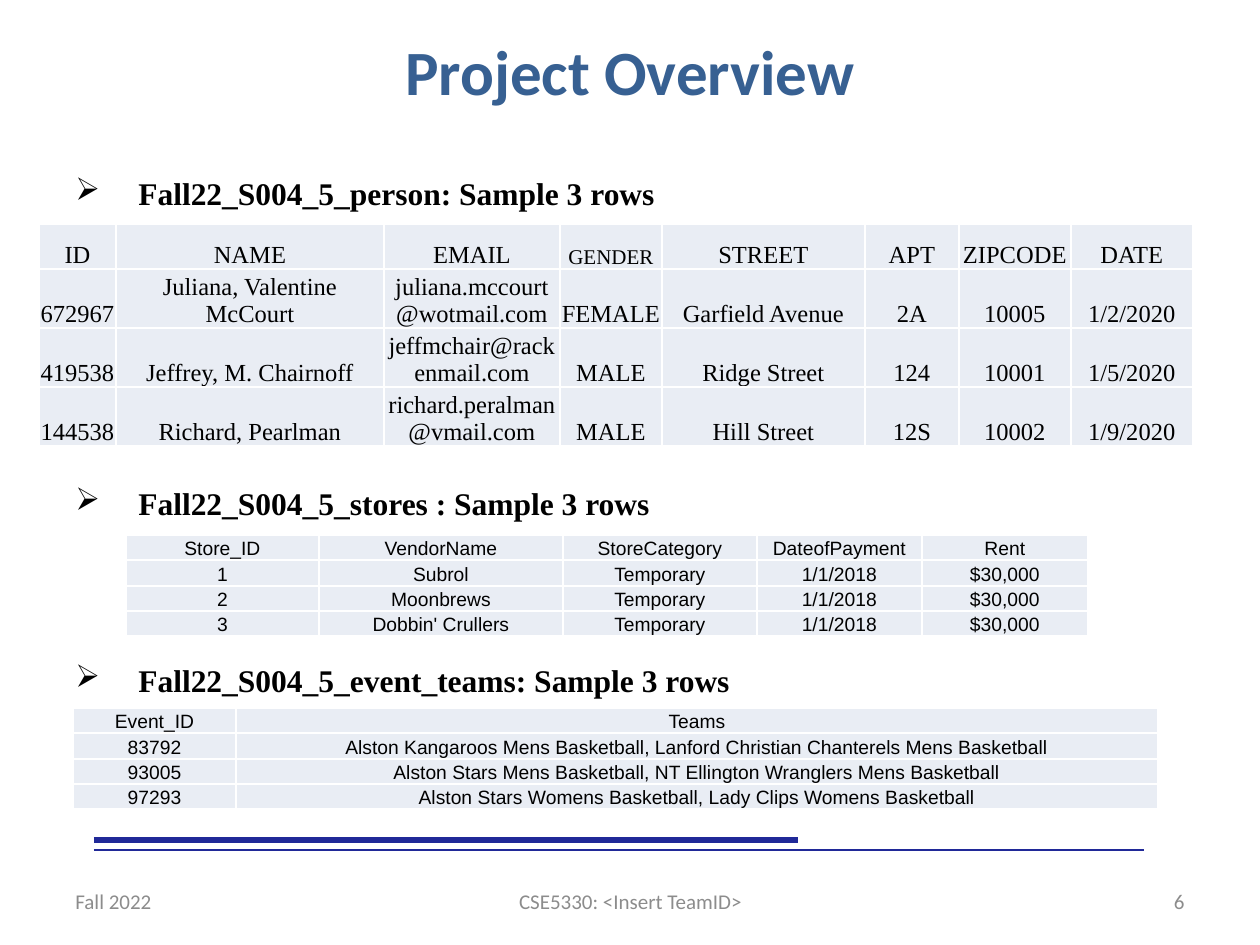
import pptx
import pptx.dml.color
import pptx.enum.shapes
import pptx.enum.text
import pptx.oxml
import pptx.oxml.ns
import pptx.util
from lxml import etree

SCALE = 914400 / 126
COLORS = {
    "title": "376092", "text": "000000", "footer": "8C8C8C",
    "rule": "202998", "cell": "E9EDF4", "border": "FFFFFF",
}
ALIGN = pptx.enum.text.PP_ALIGN
ANCHOR = pptx.enum.text.MSO_ANCHOR

PERSON_ROWS = [
    ["ID", "NAME", "EMAIL", "GENDER", "STREET", "APT", "ZIPCODE", "DATE"],
    ["672967", "Juliana, Valentine McCourt", "juliana.mccourt@wotmail.com", "FEMALE",
     "Garfield Avenue", "2A", "10005", "1/2/2020"],
    ["419538", "Jeffrey, M. Chairnoff", "jeffmchair@rackenmail.com", "MALE",
     "Ridge Street", "124", "10001", "1/5/2020"],
    ["144538", "Richard, Pearlman", "richard.peralman@vmail.com", "MALE",
     "Hill Street", "12S", "10002", "1/9/2020"],
]
STORE_ROWS = [["Store_ID", "VendorName", "StoreCategory", "DateofPayment", "Rent"]] + [
    [str(number), vendor, "Temporary", "1/1/2018", "$30,000"]
    for number, vendor in enumerate(["Subrol", "Moonbrews", "Dobbin' Crullers"], start=1)
]
EVENT_ROWS = [
    ["Event_ID", "Teams"],
    ["83792", "Alston Kangaroos Mens Basketball, Lanford Christian Chanterels Mens Basketball"],
    ["93005", "Alston Stars Mens Basketball, NT Ellington Wranglers Mens Basketball"],
    ["97293", "Alston Stars Womens Basketball, Lady Clips Womens Basketball"],
]
HEADINGS = [
    ("Fall22_S004_5_person: Sample 3 rows", 4),
    ("Fall22_S004_5_stores : Sample 3 rows", 155.3),
    ("Fall22_S004_5_event_teams: Sample 3 rows", 79.9),
]


def px(length):
    return pptx.util.Emu(round(length * SCALE))


def rgb(name):
    return pptx.dml.color.RGBColor.from_string(COLORS[name])


def write_text(paragraph, text, *, font, size, color="text", bold=False, align=ALIGN.LEFT):
    run = paragraph.add_run()
    run.text = text
    run.font.name = font
    run.font.size = pptx.util.Pt(size)
    run.font.bold = bold
    run.font.color.rgb = rgb(color)
    paragraph.alignment = align


class SlideBuilder:
    """Hold the style and the current slide, and add each kind of element."""

    heading_font = "Calibri"
    body_font = "Times New Roman"
    data_font = "Arial"

    def __init__(self, slide):
        self.slide = slide

    def rule(self, left, right, y, width):
        line = self.slide.shapes.add_connector(
            pptx.enum.shapes.MSO_CONNECTOR.STRAIGHT, px(left), px(y), px(right), px(y))
        line.line.color.rgb = rgb("rule")
        line.line.width = pptx.util.Pt(width)
        etree.SubElement(line._element.spPr, pptx.oxml.ns.qn("a:effectLst"))

    def text_frame(self, left, top, width, height, anchor=ANCHOR.MIDDLE):
        shape = self.slide.shapes.add_textbox(px(left), px(top), px(width), px(height))
        shape.text_frame.word_wrap = True
        shape.text_frame.vertical_anchor = anchor
        return shape.text_frame

    def label(self, text, left, top, width, height, **text_format):
        frame = self.text_frame(left, top, width, height)
        write_text(frame.paragraphs[0], text, font=self.heading_font, **text_format)

    def bullets(self, items, left, top, width, height):
        frame = self.text_frame(left, top, width, height, ANCHOR.TOP)
        for index, (text, space_before) in enumerate(items):
            paragraph = frame.add_paragraph() if index else frame.paragraphs[0]
            write_text(paragraph, text, font=self.body_font, size=18, bold=True)
            paragraph.space_before = pptx.util.Pt(space_before)
            properties = paragraph._p.get_or_add_pPr()
            properties.set("marL", str(px(63)))
            properties.set("indent", str(px(-63)))
            etree.SubElement(properties, pptx.oxml.ns.qn("a:buChar"), char="➢")

    def cell_borders(self, cell):
        properties = cell._tc.get_or_add_tcPr()
        for index, side in enumerate(("lnL", "lnR", "lnT", "lnB")):
            properties.insert(index, pptx.oxml.parse_xml(
                f'<a:{side} {pptx.oxml.ns.nsdecls("a")} w="12700"><a:solidFill>'
                f'<a:srgbClr val="{COLORS["border"]}"/></a:solidFill></a:{side}>'))

    def table(self, rows, left, top, widths, heights, font, size, margin=0, small=()):
        table = self.slide.shapes.add_table(
            len(rows), len(widths), px(left), px(top), px(sum(widths)), px(sum(heights))).table
        table.first_row = table.horz_banding = False
        for column, width in zip(table.columns, widths):
            column.width = px(width)
        for row, height, values in zip(table.rows, heights, rows):
            row.height = px(height)
            for cell, value in zip(row.cells, values):
                cell.margin_left = cell.margin_right = cell.margin_top = px(margin)
                cell.margin_bottom = 0
                cell.vertical_anchor = ANCHOR.BOTTOM
                cell.fill.solid()
                cell.fill.fore_color.rgb = rgb("cell")
                self.cell_borders(cell)
                write_text(cell.text_frame.paragraphs[0], value, font=font,
                           size=12 if value in small else size, align=ALIGN.CENTER)


def main():
    presentation = pptx.Presentation()
    presentation.slide_width = px(1260)
    presentation.slide_height = px(945)
    builder = SlideBuilder(presentation.slides.add_slide(presentation.slide_layouts[6]))

    builder.rule(94, 1144, 850, 0.75)
    builder.rule(94, 798, 840, 3)
    builder.label("Project Overview", 63, 21, 1134, 98,
                  size=36, color="title", bold=True, align=ALIGN.CENTER)
    builder.bullets(HEADINGS, 63, 168, 1134, 677)
    for text, left, width, align in (
        ("Fall 2022", 63, 294, ALIGN.LEFT),
        ("CSE5330: <Insert TeamID>", 431, 399, ALIGN.CENTER),
        ("6", 903, 294, ALIGN.RIGHT),
    ):
        builder.label(text, left, 876, width, 50, size=12, color="footer", align=align)

    builder.table(PERSON_ROWS, 39, 224, [77, 268, 176, 102, 203, 94, 112, 122],
                  [45, 54, 55, 54], builder.body_font, 14, small=("GENDER",))
    data_heights = [25, 26, 25, 25]
    builder.table(STORE_ROWS, 126, 535, [193, 244, 194, 165, 166],
                  data_heights, builder.data_font, 11, margin=1)
    builder.table(EVENT_ROWS, 73, 708, [163, 922],
                  data_heights, builder.data_font, 11, margin=1)
    presentation.save("out.pptx")


if __name__ == "__main__":
    main()
